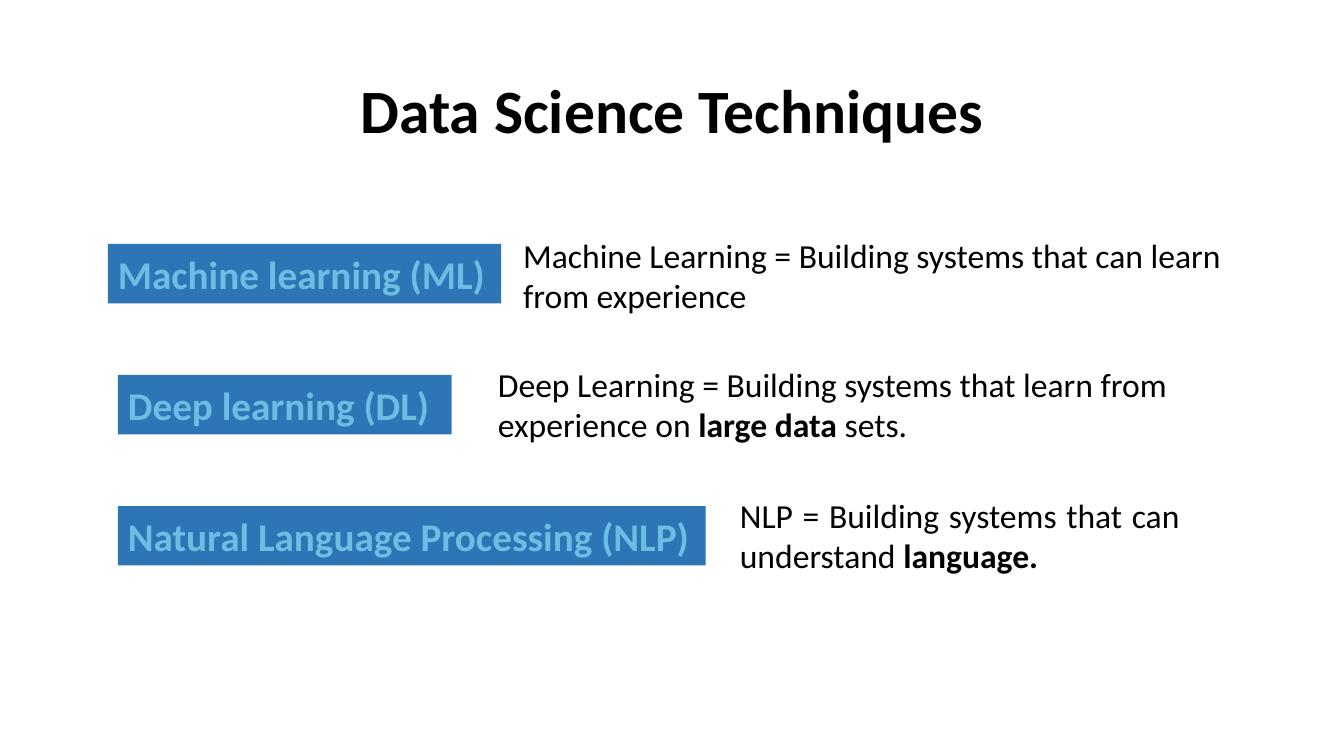
from pptx import Presentation
from pptx.dml.color import RGBColor
from pptx.enum import shapes, text
from pptx.util import Inches, Pt

TITLE = "Data Science Techniques"

# label, label left, label width, note runs (text, bold), note left, top, width, alignment
TECHNIQUES = [
    ("Machine learning (ML)", 1.07, 3.9,
     [("Machine Learning = Building systems that can learn from experience", False)],
     5.09, 2.28, 7.62, text.PP_ALIGN.LEFT),
    ("Deep learning (DL)", 1.17, 3.31,
     [("Deep Learning = Building systems that learn from experience on ", False),
      ("large data ", True), ("sets.", False)],
     4.84, 3.56, 7.65, text.PP_ALIGN.LEFT),
    ("Natural Language Processing (NLP)", 1.17, 5.83,
     [("NLP = Building systems that can understand ", False), ("language.", True)],
     7.24, 4.86, 4.56, text.PP_ALIGN.JUSTIFY),
]

THEME = {
    "font": "Calibri",
    "ink": RGBColor.from_string("000000"),
    "label_fill": RGBColor.from_string("2E75B6"),
    "label_text": RGBColor.from_string("6DBCE2"),
    "title_size": Pt(44),
    "label_size": Pt(28),
    "note_size": Pt(24),
}

FIRST_ROW, ROW_STEP = 2.42, 1.3
LABEL_HEIGHT, NOTE_HEIGHT = 0.59, 0.91


def write(sp, runs, size, color, align, anchor):
    """Fill a shape with one paragraph of (text, bold) runs."""
    tf = sp.text_frame
    tf.word_wrap = True
    tf.vertical_anchor = anchor
    p = tf.paragraphs[0]
    p.alignment = align
    p.font.name, p.font.size = THEME["font"], THEME[size]
    p.font.color.rgb = THEME[color]
    for words, bold in runs:
        r = p.add_run()
        r.text = words
        r.font.bold = bold
    return p


def add_label(slide, words, left, top, width):
    sp = slide.shapes.add_shape(shapes.MSO_SHAPE.RECTANGLE, Inches(left), Inches(top),
                                Inches(width), Inches(LABEL_HEIGHT))
    sp.shadow.inherit = False
    sp.fill.solid()
    sp.fill.fore_color.rgb = THEME["label_fill"]
    sp.line.fill.background()
    write(sp, [(words, True)], "label_size", "label_text",
          text.PP_ALIGN.LEFT, text.MSO_ANCHOR.MIDDLE)


def main():
    prs = Presentation()
    prs.slide_width, prs.slide_height = Inches(13.33), Inches(7.5)
    slide = prs.slides.add_slide(prs.slide_layouts[6])

    # Title
    sp = slide.shapes.add_textbox(Inches(0.92), Inches(0.4), Inches(11.5), Inches(1.45))
    p = write(sp, [(TITLE, True)], "title_size", "ink",
              text.PP_ALIGN.CENTER, text.MSO_ANCHOR.MIDDLE)
    p.line_spacing = 0.9

    # One row per technique: coloured label and its explanation
    for row, technique in enumerate(TECHNIQUES):
        label, left, width, note, note_left, note_top, note_width, align = technique
        add_label(slide, label, left, FIRST_ROW + row * ROW_STEP, width)
        sp = slide.shapes.add_textbox(Inches(note_left), Inches(note_top),
                                      Inches(note_width), Inches(NOTE_HEIGHT))
        write(sp, note, "note_size", "ink", align, text.MSO_ANCHOR.TOP)
        sp.text_frame.auto_size = text.MSO_AUTO_SIZE.SHAPE_TO_FIT_TEXT

    prs.save("out.pptx")


if __name__ == "__main__":
    main()
